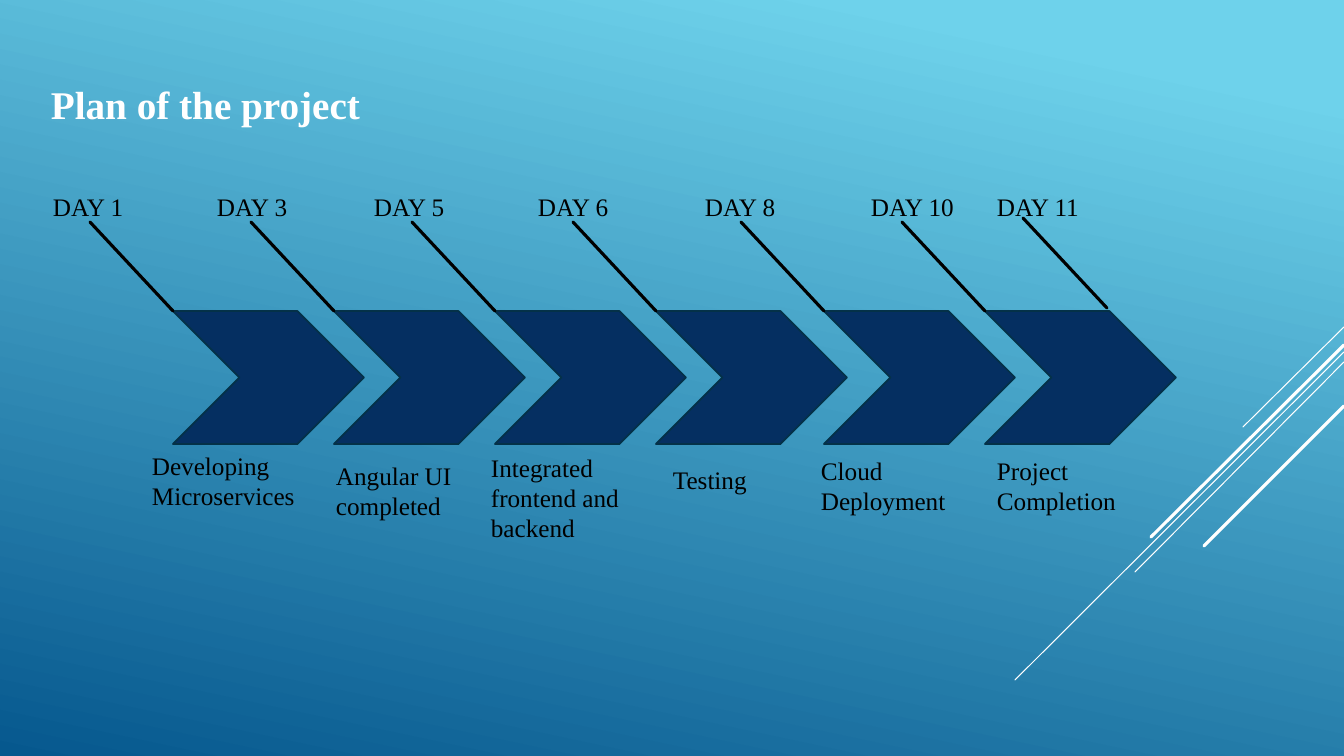
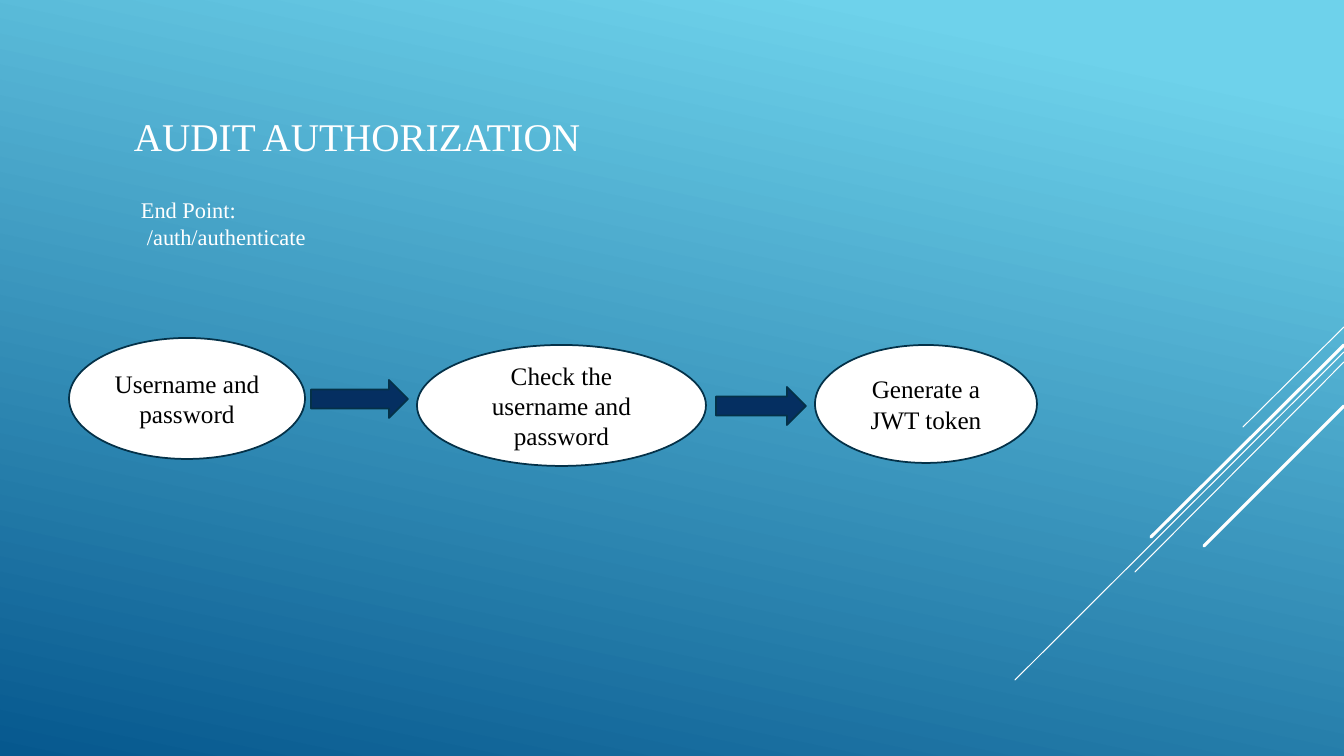
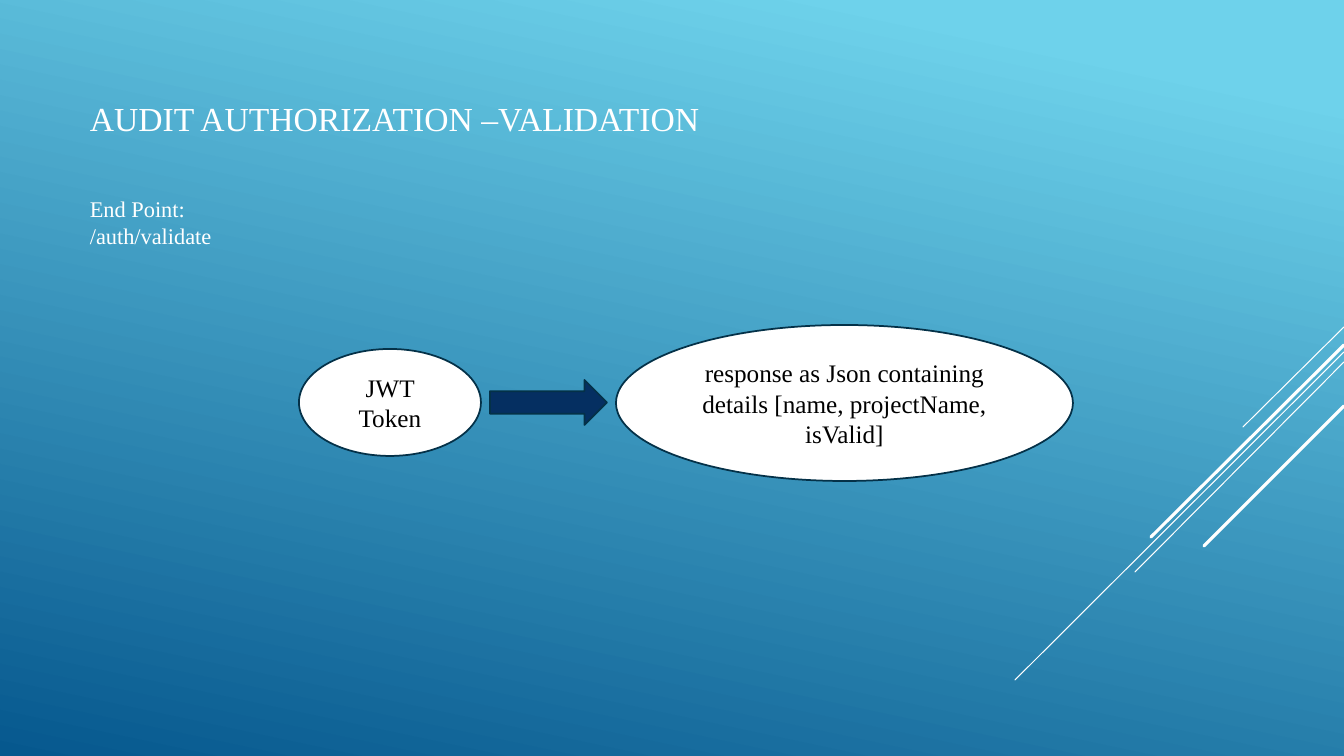
from lxml import etree
from pptx import Presentation
from pptx import util as u
from pptx.dml.color import RGBColor
from pptx.enum import shapes, text
from pptx.oxml.ns import qn

PX = 12192000 / 1344  # EMU per px
FONT = "Times New Roman"
COLORS = {
    "sky": "6ED2EB",
    "deep": "06588E",
    "navy": "052F61",
    "outline": "043148",
    "white": "FFFFFF",
    "black": "000000",
}
# Slanted corner lines: start y on the right edge, end x, end y, width
CORNER_LINES = [
    (327, 1243, 427, 0.75),
    (352, 1015, 680, 0.75),
    (362, 1135, 572, 0.75),
    (345, 1151, 537, 2.25),
    (406, 1204, 546, 2.25),
]
# Day, its left, task, then left, top and width of the task
MILESTONES = [
    ("DAY 1", 43, "Developing Microservices", 142, 445, 164),
    ("DAY 3", 207, "Angular UI completed", 326, 455, 144),
    ("DAY 5", 364, "Integrated frontend and backend", 481, 447, 164),
    ("DAY 6", 528, "Testing", 663, 459, 99),
    ("DAY 8", 695, "Cloud\nDeployment", 811, 450, 164),
    ("DAY 10", 861, "Project Completion", 987, 450, 164),
]


def px(*lengths):
    return [u.Emu(round(length * PX)) for length in lengths]


def rgb(name):
    return RGBColor.from_string(COLORS[name])


def write(frame, words, size=18, color="black", bold=False, align="LEFT",
          anchor="TOP", last_indent=0):
    """Fill a text frame, one paragraph for each line of words."""
    frame.word_wrap = True
    frame.vertical_anchor = getattr(text.MSO_ANCHOR, anchor)
    frame.text = words
    for paragraph in frame.paragraphs:
        paragraph.alignment = getattr(text.PP_ALIGN, align)
        for run in paragraph.runs:
            run.font.name = FONT
            run.font.size = u.Pt(size)
            run.font.bold = bold
            run.font.color.rgb = rgb(color)
    if last_indent:
        margin = px(last_indent)[0]
        frame.paragraphs[-1]._p.get_or_add_pPr().set("marL", str(margin))


def label(slide, box, words, **style):
    write(slide.shapes.add_textbox(*px(*box)).text_frame, words, **style)


def line(slide, ends, color, width):
    stroke = slide.shapes.add_connector(shapes.MSO_CONNECTOR.STRAIGHT, *px(*ends))
    stroke.line.color.rgb = rgb(color)
    stroke.line.width = u.Pt(width)
    stroke.line._get_or_add_ln().set("cap", "rnd")
    etree.SubElement(stroke._element.spPr, qn("a:effectLst"))


def block(slide, kind, box, fill="navy"):
    body = slide.shapes.add_shape(getattr(shapes.MSO_SHAPE, kind), *px(*box))
    body.shadow.inherit = False
    body.fill.solid()
    body.fill.fore_color.rgb = rgb(fill)
    body.line.color.rgb = rgb("outline")
    body.line.width = u.Pt(1.25)
    return body


def bubble(slide, box, words):
    oval = block(slide, "FLOWCHART_CONNECTOR", box, "white")
    write(oval.text_frame, words, align="CENTER", anchor="MIDDLE")


def title(slide, box, words, **style):
    label(slide, box, words, color="white", **style)


def set_background(prs):
    fill = prs.slide_master.background.fill
    fill.gradient()
    fill.gradient_angle = 360 - 102
    for stop, (name, position) in zip(fill.gradient_stops, [("sky", 0.1), ("deep", 1)]):
        stop.color.rgb = rgb(name)
        stop.position = position


def new_slide(prs):
    slide = prs.slides.add_slide(prs.slide_layouts[6])
    for start_y, end_x, end_y, width in CORNER_LINES:
        line(slide, (1344, start_y, end_x, end_y), "white", width)
    return slide


def plan_slide(prs):
    slide = new_slide(prs)
    # Timeline: the last two chevrons stand slightly further right
    for i, (day, day_x, task, task_x, task_y, task_w) in enumerate(MILESTONES):
        x = 173 + 161 * i + (7 if i >= 4 else 0)
        block(slide, "CHEVRON", (x, 311, 191, 133))
        line(slide, (x, 311, x - 83, 222), "black", 2.25)
        label(slide, (day_x, 186, 106, 40), day)
        label(slide, (task_x, task_y, task_w, 72), task)
    # Closing day
    line(slide, (1107, 308, 1023, 218), "black", 2.25)
    label(slide, (987, 186, 106, 40), "DAY 11")
    title(slide, (41, 75, 673, 57), "Plan of the project", size=28, bold=True)


def authorization_slide(prs):
    slide = new_slide(prs)
    title(slide, (124, 93, 637, 86), "AUDIT AUTHORIZATION", size=28, anchor="MIDDLE")
    title(slide, (131, 191, 236, 65), "End Point:\n/auth/authenticate", size=16,
          last_indent=6)
    bubble(slide, (69, 338, 236, 121), "Username and password")
    bubble(slide, (417, 345, 289, 121), "Check the username and password")
    bubble(slide, (815, 345, 222, 118), "Generate a JWT token")
    block(slide, "RIGHT_ARROW", (311, 380, 97, 38))
    block(slide, "RIGHT_ARROW", (716, 387, 90, 38))


def validation_slide(prs):
    slide = new_slide(prs)
    title(slide, (80, 65, 963, 107), "AUDIT AUTHORIZATION –VALIDATION", size=24,
          anchor="MIDDLE")
    title(slide, (80, 190, 182, 65), "End Point:\n/auth/validate", size=16)
    bubble(slide, (299, 349, 182, 107), "JWT Token")
    bubble(slide, (616, 325, 457, 156),
           "response as Json containing details [name, projectName, isValid]")
    block(slide, "RIGHT_ARROW", (490, 380, 117, 45))


def main():
    prs = Presentation()
    prs.slide_width, prs.slide_height = px(1344, 756)
    set_background(prs)
    plan_slide(prs)
    authorization_slide(prs)
    validation_slide(prs)
    prs.save("out.pptx")


if __name__ == "__main__":
    main()
